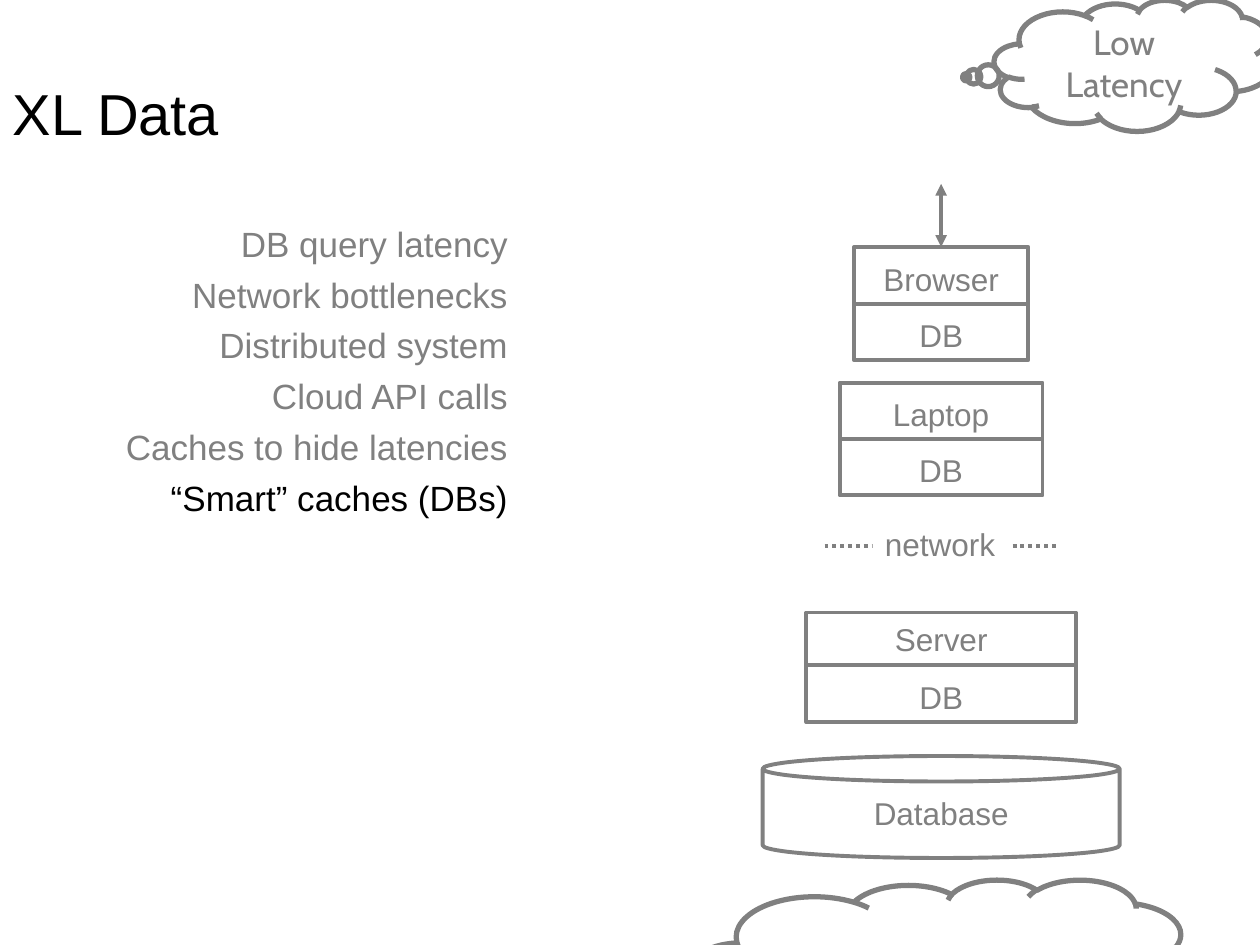
"""Build the XL Data slide: a list of latency causes beside a stack of data tiers."""
from dataclasses import dataclass

from lxml import etree
from pptx import Presentation
from pptx import util as u
from pptx.dml.color import RGBColor
from pptx.enum import dml, shapes, text
from pptx.oxml import ns

COLORS = {"ink": "000000", "muted": "808080", "paper": "FFFFFF"}
AXIS = 537.8
STROKE = 2.25
CAUSES = ["DB query latency", "Network bottlenecks", "Distributed system",
          "Cloud API calls", "Caches to hide latencies", "“Smart” caches (DBs)"]


@dataclass(frozen=True)
class Box:
    left: float
    top: float
    width: float
    height: float

    def lengths(self) -> list:
        return [u.Pt(v) for v in (self.left, self.top, self.width, self.height)]


@dataclass(frozen=True)
class Tier:
    label: str
    top: float
    width: float
    height: float
    anchor: text.MSO_ANCHOR = text.MSO_ANCHOR.BOTTOM
    kind: shapes.MSO_SHAPE = shapes.MSO_SHAPE.RECTANGLE

    def box(self) -> Box:
        return Box(AXIS - self.width / 2, self.top, self.width, self.height)


TIERS = [
    Tier("Browser", 141.1, 99.4, 32.4),
    Tier("DB", 173.5, 99.4, 32.4),
    Tier("Laptop", 218.7, 116, 32.2),
    Tier("DB", 250.9, 116, 32.2),
    Tier("Server", 350, 154, 30.2, text.MSO_ANCHOR.MIDDLE),
    Tier("DB", 380.2, 154, 32.4),
    Tier("Database", 432, 204, 58.3, text.MSO_ANCHOR.MIDDLE, shapes.MSO_SHAPE.CAN),
]


def rgb(name: str) -> RGBColor:
    return RGBColor.from_string(COLORS[name])


def apply(target, formats: dict) -> None:
    for key, value in formats.items():
        setattr(target, key, value)


def write(paragraph, words: str, size: float, color: str = "muted",
          font: str = "Arial", **formats) -> None:
    run = paragraph.add_run()
    run.text = words
    apply(run.font, {"size": u.Pt(size), "name": font})
    run.font.color.rgb = rgb(color)
    apply(paragraph, formats)


def place(holder, box: Box) -> None:
    apply(holder, dict(zip(("left", "top", "width", "height"), box.lengths())))


def outline(parent, kind: shapes.MSO_SHAPE, box: Box, weight: float):
    figure = parent.add_shape(kind, *box.lengths())
    figure.shadow.inherit = False
    figure.fill.background()
    figure.line.color.rgb = rgb("muted")
    figure.line.width = u.Pt(weight)
    return figure


def caption(figure, words: str, size: float, anchor: text.MSO_ANCHOR,
            font: str = "Arial") -> None:
    apply(figure.text_frame, {"word_wrap": True, "vertical_anchor": anchor})
    write(figure.text_frame.paragraphs[0], words, size, font=font,
          alignment=text.PP_ALIGN.CENTER)


def draw_line(parent, start: tuple[float, float], end: tuple[float, float]):
    rule = parent.add_connector(shapes.MSO_CONNECTOR.STRAIGHT,
                                *(u.Pt(v) for v in (*start, *end)))
    rule.line.color.rgb = rgb("muted")
    rule.line.width = u.Pt(STROKE)
    etree.SubElement(rule._element.spPr, ns.qn("a:effectLst"))
    return rule


def draw_heading(title) -> None:
    place(title, Box(0, 21.6, 375.8, 90))
    apply(title.text_frame, {"vertical_anchor": text.MSO_ANCHOR.MIDDLE,
                             "auto_size": text.MSO_AUTO_SIZE.NONE})
    write(title.text_frame.paragraphs[0], "XL Data", 33, "ink",
          alignment=text.PP_ALIGN.LEFT, line_spacing=0.9)


def draw_causes(body) -> None:
    place(body, Box(0, 126, 297.4, 356.4))
    frame = body.text_frame
    frame.auto_size = text.MSO_AUTO_SIZE.NONE
    for index, cause in enumerate(CAUSES):
        paragraph = frame.add_paragraph() if index else frame.paragraphs[0]
        properties = paragraph._p.get_or_add_pPr()
        apply_indent = {"marL": "0", "indent": "0"}
        for key, value in apply_indent.items():
            properties.set(key, value)
        etree.SubElement(properties, ns.qn("a:buNone"))
        write(paragraph, cause, 20, "ink" if cause == CAUSES[-1] else "muted",
              alignment=text.PP_ALIGN.RIGHT, line_spacing=0.9,
              space_before=u.Pt(7.5 if index else 0))


def draw_tier(parent, tier: Tier) -> None:
    figure = outline(parent, tier.kind, tier.box(), STROKE)
    caption(figure, tier.label, 18, tier.anchor)


def draw_user_arrow(parent) -> None:
    arrow = draw_line(parent, (AXIS, 105.1), (AXIS, TIERS[0].top))
    stroke = arrow.line._get_or_add_ln()
    for end in ("a:headEnd", "a:tailEnd"):
        etree.SubElement(stroke, ns.qn(end), type="triangle")


def draw_network(parent) -> None:
    group = parent.add_group_shape().shapes
    wire = draw_line(group, (AXIS - 66.6, 311.8), (AXIS + 66.6, 311.8))
    wire.line.dash_style = dml.MSO_LINE.ROUND_DOT
    label = group.add_textbox(*Box(AXIS - 39.2, 296.6, 78.4, 29.1).lengths())
    label.fill.solid()
    label.fill.fore_color.rgb = rgb("paper")
    apply(label.text_frame, {"word_wrap": False,
                             "auto_size": text.MSO_AUTO_SIZE.SHAPE_TO_FIT_TEXT})
    write(label.text_frame.paragraphs[0], "network", 18)


def draw_clouds(parent) -> None:
    outline(parent, shapes.MSO_SHAPE.CLOUD, Box(395.3, 502.6, 285.8, 108), 3)
    goal = outline(parent, shapes.MSO_SHAPE.CLOUD_CALLOUT, Box(568.1, 0, 159.8, 74.9), 3)
    goal.adjustments[0], goal.adjustments[1] = -0.6, 0.09
    caption(goal, "Low Latency", 20, text.MSO_ANCHOR.MIDDLE, "Cabin")


def main() -> None:
    deck = Presentation()
    apply(deck, {"slide_width": u.Pt(720), "slide_height": u.Pt(540)})
    slide = deck.slides.add_slide(deck.slide_layouts[1])
    draw_heading(slide.shapes.title)
    draw_causes(slide.placeholders[1])
    for tier in TIERS:
        draw_tier(slide.shapes, tier)
    draw_user_arrow(slide.shapes)
    draw_network(slide.shapes)
    draw_clouds(slide.shapes)
    deck.save("out.pptx")


if __name__ == "__main__":
    main()
